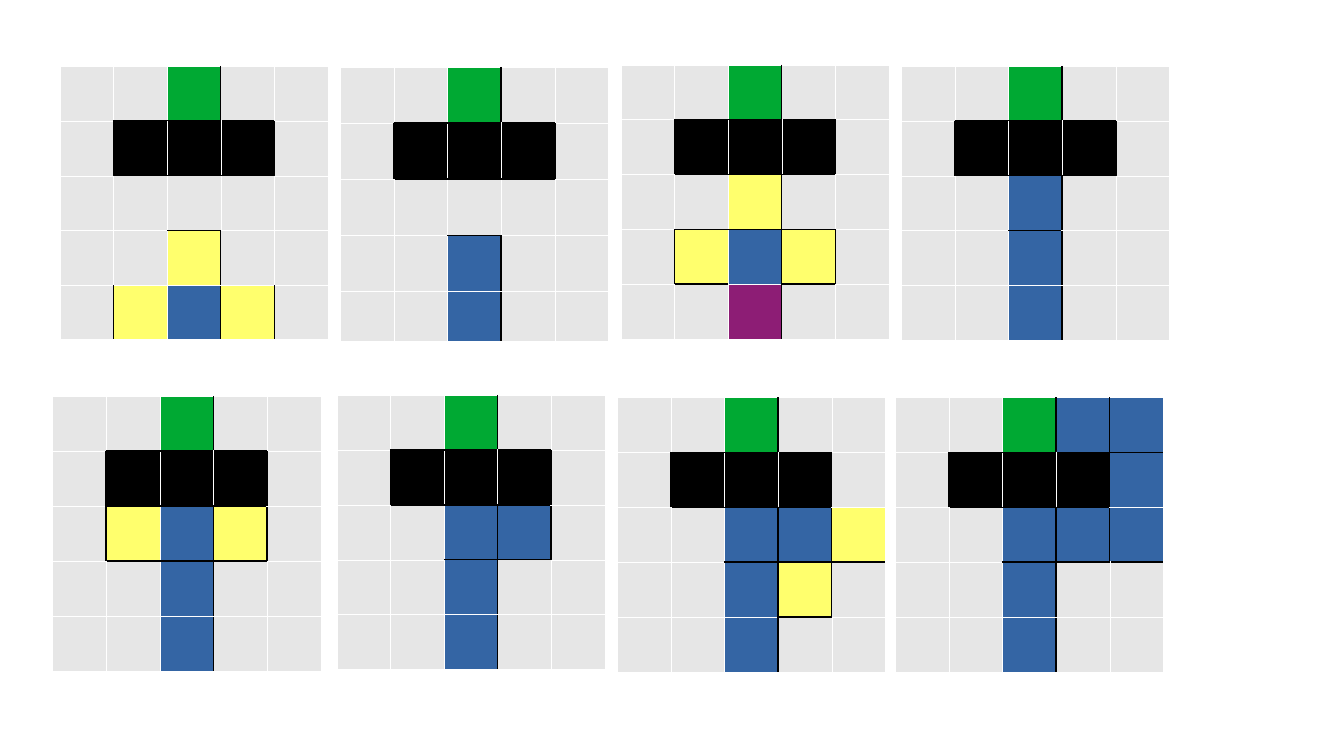
from lxml.etree import SubElement
from pptx import Presentation
from pptx.dml.color import RGBColor
from pptx.oxml.ns import qn
from pptx.util import Inches, Pt

GREY = RGBColor(0xE6, 0xE6, 0xE6)
GREEN = RGBColor(0x00, 0xA9, 0x33)
BLACK = RGBColor(0x00, 0x00, 0x00)
WHITE = RGBColor(0xFF, 0xFF, 0xFF)
YELLOW = RGBColor(0xFF, 0xFF, 0x6D)
BLUE = RGBColor(0x34, 0x65, 0xA4)
PURPLE = RGBColor(0x8D, 0x1D, 0x75)
FILLS = {".": GREY, "G": GREEN, "K": BLACK, "Y": YELLOW, "B": BLUE, "P": PURPLE}

# Content: left, top, row height, last row height, cells,
# then the extra dark edges as (row, grid line) and (grid line, column)
GRIDS = [
    (0.49, 0.54, 0.45, 0.44, "..G.. .KKK. ..... ..Y.. .YBY.",
     {(4, 1), (4, 4)}, set()),
    (2.79, 0.55, 0.46, 0.41, "..G.. .KKK. ..... ..B.. ..B..",
     set(), set()),
    (5.09, 0.53, 0.45, 0.45, "..G.. .KKK. ..Y.. .YBY. ..P..",
     {(2, 3), (3, 1), (3, 4)}, {(3, 1), (3, 3), (4, 1), (4, 3)}),
    (7.39, 0.54, 0.45, 0.45, "..G.. .KKK. ..B.. ..B.. ..B..",
     {(2, 3)}, set()),
    (0.43, 3.25, 0.45, 0.45, "..G.. .KKK. .YBY. ..B.. ..B..",
     {(2, 1), (2, 3), (2, 4)}, {(3, 1), (3, 3)}),
    (2.76, 3.24, 0.45, 0.45, "..G.. .KKK. ..BB. ..B.. ..B..",
     {(2, 3), (2, 4)}, {(3, 3)}),
    (5.06, 3.26, 0.45, 0.45, "..G.. .KKK. ..BBY ..BY. ..B..",
     {(2, 3), (2, 4), (3, 4)}, {(3, 3), (3, 4), (4, 3)}),
    (7.34, 3.26, 0.45, 0.45, "..GBB .KKKB ..BBB ..B.. ..B..",
     {(0, 4), (2, 3), (2, 4)}, {(1, 4), (3, 3), (3, 4)}),
]
COLUMN_WIDTH = 0.44

# Dark edges that every grid has
COMMON_VERTICAL = {(0, 3), (1, 1), (1, 4), (3, 3), (4, 3)}
COMMON_HORIZONTAL = {(line, column) for line in (1, 2) for column in (1, 2, 3)} | {(3, 2)}


def add_border(cell, side, dark):
    color, width = (BLACK, Pt(1)) if dark else (WHITE, Pt(0.06))
    properties = cell._tc.get_or_add_tcPr()
    line = SubElement(properties, qn("a:" + side), w=str(int(width)))
    fill = SubElement(line, qn("a:solidFill"))
    SubElement(fill, qn("a:srgbClr"), val=str(color))


def add_grid(slide, left, top, row_height, last_height, cells, vertical, horizontal):
    rows = cells.split()
    row_count, column_count = len(rows), len(rows[0])
    heights = [row_height] * (row_count - 1) + [last_height]
    table = slide.shapes.add_table(
        row_count, column_count, Inches(left), Inches(top),
        Inches(COLUMN_WIDTH * column_count), Inches(sum(heights))).table
    table.first_row = False
    table.horz_banding = False
    for column in table.columns:
        column.width = Inches(COLUMN_WIDTH)
    for row, height in zip(table.rows, heights):
        row.height = Inches(height)

    dark_vertical = COMMON_VERTICAL | vertical
    dark_horizontal = COMMON_HORIZONTAL | horizontal
    for row, letters in enumerate(rows):
        for column, letter in enumerate(letters):
            cell = table.cell(row, column)
            cell.margin_top = cell.margin_bottom = 0
            # Neighbouring cells share the edge, so both get the same line
            add_border(cell, "lnL", (row, column) in dark_vertical)
            add_border(cell, "lnR", (row, column + 1) in dark_vertical)
            add_border(cell, "lnT", (row, column) in dark_horizontal)
            add_border(cell, "lnB", (row + 1, column) in dark_horizontal)
            cell.fill.solid()
            cell.fill.fore_color.rgb = FILLS[letter]


def main():
    presentation = Presentation()
    presentation.slide_width = Inches(11.02)
    presentation.slide_height = Inches(6.2)
    slide = presentation.slides.add_slide(presentation.slide_layouts[6])
    for grid in GRIDS:
        add_grid(slide, *grid)
    presentation.save("out.pptx")


if __name__ == "__main__":
    main()
